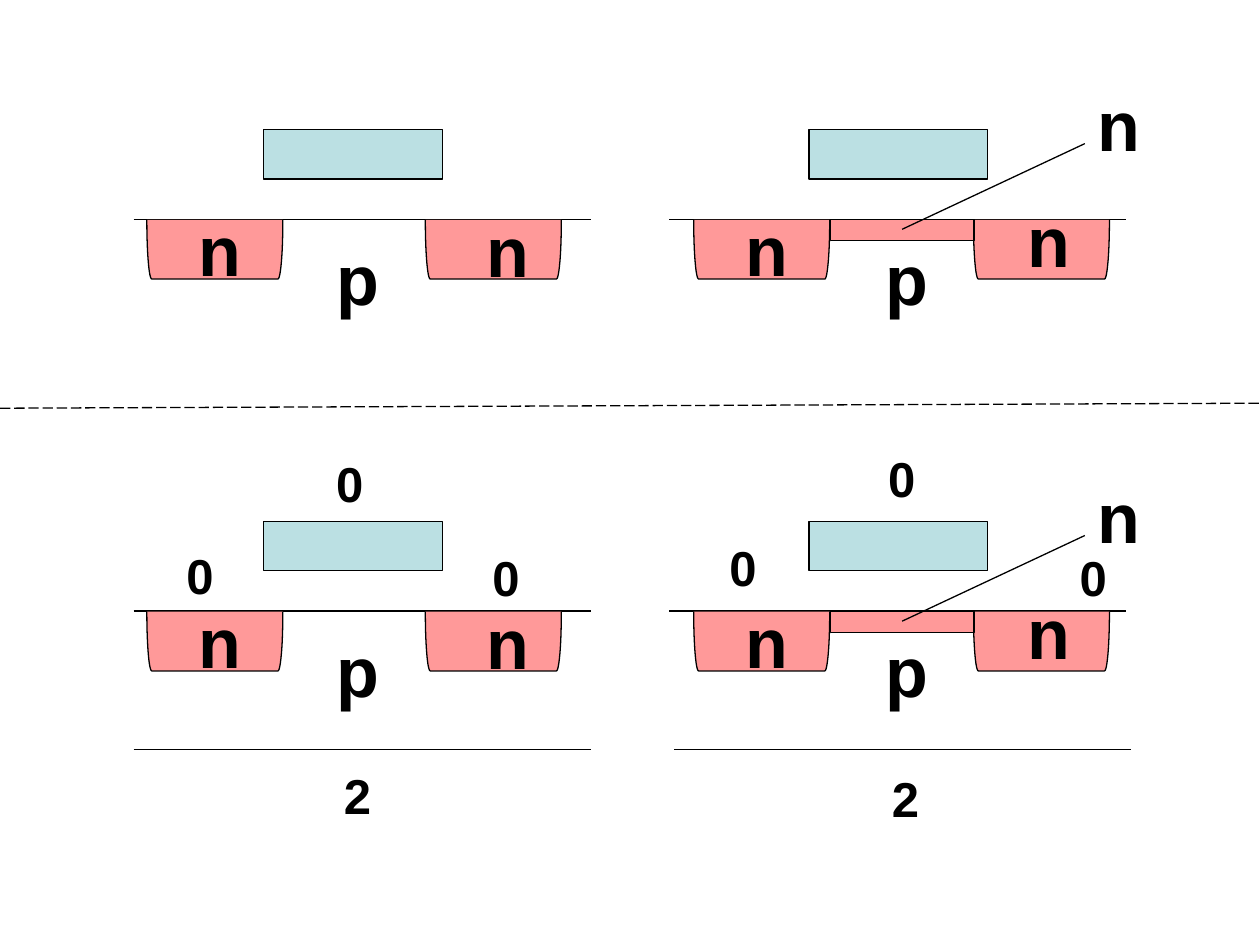
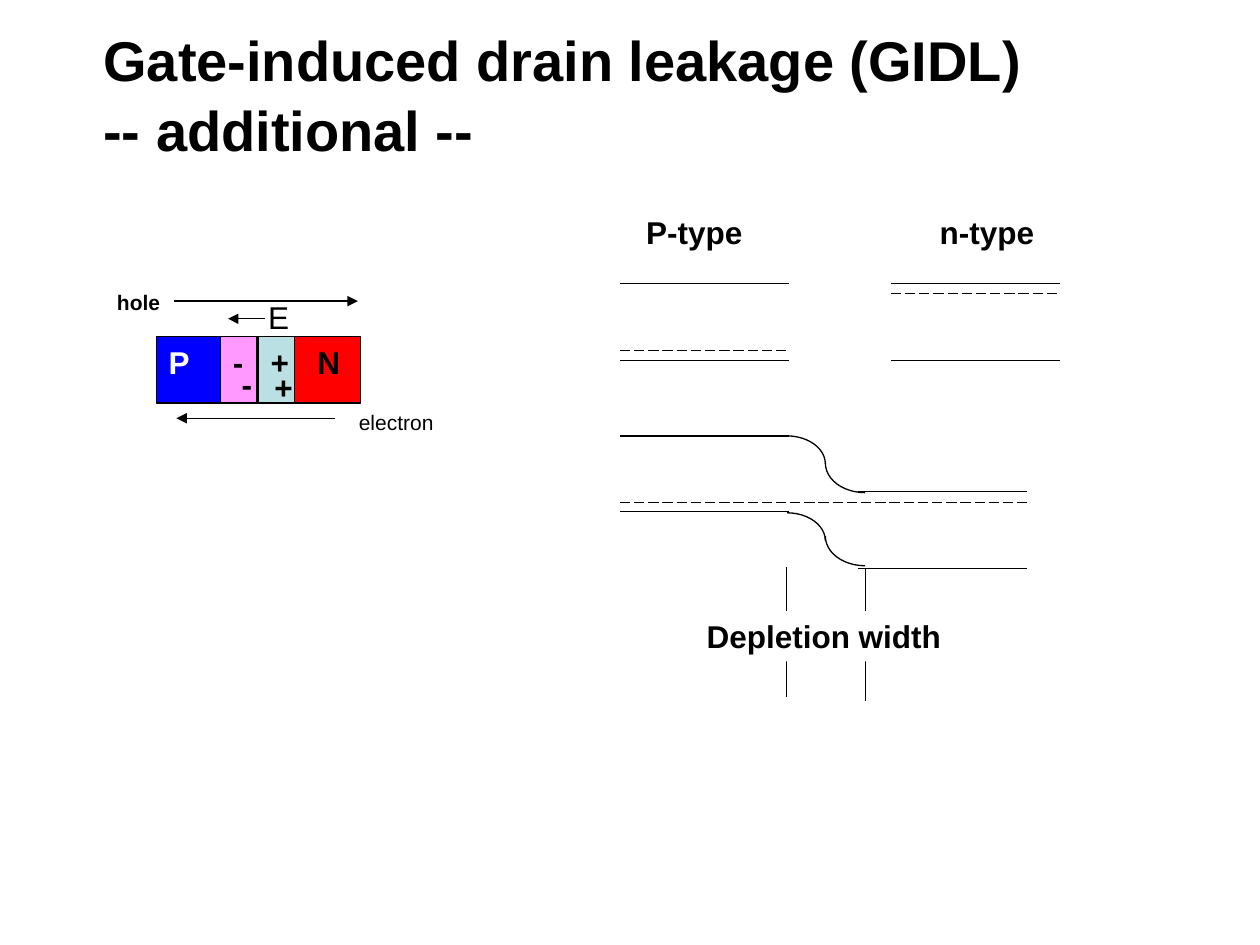
from dataclasses import dataclass
from lxml import etree
from pptx import Presentation
from pptx.dml.color import RGBColor
from pptx.enum.dml import MSO_LINE
from pptx.enum.shapes import MSO_CONNECTOR, MSO_SHAPE
from pptx.enum.text import MSO_ANCHOR, MSO_AUTO_SIZE, PP_ALIGN
from pptx.oxml.ns import qn
from pptx.util import Inches, Pt

RECT = MSO_SHAPE.RECTANGLE
WELL = MSO_SHAPE.RIGHT_BRACKET
ARC = MSO_SHAPE.ARC
LINE = MSO_CONNECTOR.STRAIGHT
DASH = MSO_LINE.LONG_DASH
LEFT = PP_ALIGN.LEFT
TOP = MSO_ANCHOR.TOP
GROW = MSO_AUTO_SIZE.SHAPE_TO_FIT_TEXT
FIXED = MSO_AUTO_SIZE.NONE


@dataclass
class Theme:
    font: str = "Arial"
    ink: str = "000000"
    paper: str = "FFFFFF"
    gate: str = "BBE0E3"
    doped: str = "FF9999"
    hole: str = "0000FF"
    donor: str = "FF0000"
    ion: str = "FF99FF"
    huge: int = 40
    title: int = 32
    large: int = 28
    mid: int = 18
    small: int = 12
    rule: float = 0.75


T = Theme()
deck = Presentation()
deck.slide_width = Inches(10)
deck.slide_height = Inches(7.5)
CELL = deck.slide_width / 100


def draw(shapes, kind, x, y, w, h, fill=None, edge=True, text=None,
         size=T.mid, ink=T.ink, bold=True, wrap=False):
    box = [round(v * CELL) for v in (x, y, w, h)]
    if kind is None:
        shape = shapes.add_textbox(*box)
    else:
        shape = shapes.add_shape(kind, *box)
        shape.shadow.inherit = False
        if fill:
            shape.fill.solid()
            shape.fill.fore_color.rgb = RGBColor.from_string(fill)
        else:
            shape.fill.background()
        if edge:
            shape.line.color.rgb = RGBColor.from_string(T.ink)
            shape.line.width = Pt(T.rule)
        else:
            shape.line.fill.background()
    if text:
        frame = shape.text_frame
        frame.word_wrap = wrap
        frame.auto_size = FIXED if wrap else GROW
        frame.vertical_anchor = TOP
        para = frame.paragraphs[0]
        para.alignment = LEFT
        run = para.add_run()
        run.text = text
        run.font.name = T.font
        run.font.size = Pt(size)
        run.font.bold = bold
        run.font.color.rgb = RGBColor.from_string(ink)
    return shape


def wire(shapes, x1, y1, x2, y2, dash=False, arrow=False):
    ends = [round(v * CELL) for v in (x1, y1, x2, y2)]
    link = shapes.add_connector(LINE, *ends)
    link.line.color.rgb = RGBColor.from_string(T.ink)
    link.line.width = Pt(T.rule)
    if dash:
        link.line.dash_style = DASH
    if arrow:
        etree.SubElement(link.line._get_or_add_ln(), qn("a:tailEnd"), type="triangle")
    etree.SubElement(link._element.spPr, qn("a:effectLst"))


art = deck.slides.add_slide(deck.slide_layouts[6]).shapes

HALVES = [
    (20.9, 10.6, (14.7, 36.8), [("n", 37.6, 16), ("n", 14.8, 15.9), ("p", 25.7, 18.2)]),
    (64.2, 53.1, (58.1, 80.3), [("n", 58.2, 15.9), ("n", 80.6, 15.2), ("p", 69.3, 18.2)]),
]
for drop in (0, 31.1):
    for gate, edge, wells, signs in HALVES:
        draw(art, RECT, gate, 10.3 + drop, 14.2, 3.9, T.gate)
        wire(art, edge, 17.4 + drop, edge + 36.3, 17.4 + drop)
        for x in wells:
            draw(art, WELL, x, 14.4 + drop, 4.7, 10.8, T.doped).rotation = 90
        for sign, x, y in signs:
            draw(art, None, x, y + drop, 5.4, 7.7, text=sign, size=T.huge)
    draw(art, RECT, 65.9, 17.4 + drop, 11.4, 1.7, T.doped)
    draw(art, None, 86.1, 6 + drop, 5.4, 7.7, text="n", size=T.huge)
    wire(art, 86.1, 11.4 + drop, 71.6, 18.2 + drop)

VOLTS = [("0", 13.8, 42.8), ("0", 38.1, 43), ("0", 25.7, 35.5), ("2", 26.3, 60.3),
         ("0", 56.9, 42.2), ("0", 69.5, 35.1), ("0", 84.7, 43), ("2", 69.8, 60.5)]
for volt, x, y in VOLTS:
    draw(art, None, x, y, 4.2, 5.7, text=volt, size=T.large)
wire(art, 0, 32.4, 100, 32, dash=True)
for x in (10.6, 53.5):
    wire(art, x, 59.5, x + 36.3, 59.5)

art = deck.slides.add_slide(deck.slide_layouts[5]).shapes
head = art.title
head.left, head.top, head.width, head.height = [
    round(v * CELL) for v in (7.2, 1.3, 76.9, 11.8)]
frame = head.text_frame
frame.word_wrap = True
frame.auto_size = FIXED
frame.vertical_anchor = TOP
for i, words in enumerate(["Gate-induced drain leakage (GIDL)", "-- additional --"]):
    para = frame.add_paragraph() if i else frame.paragraphs[0]
    para.alignment = LEFT
    para.line_spacing = 1.04
    run = para.add_run()
    run.text = words
    run.font.name = T.font
    run.font.size = Pt(T.title)
    run.font.bold = True
    run.font.color.rgb = RGBColor.from_string(T.ink)

diode = art.add_group_shape().shapes
ZONES = [(12.4, 8.1, T.hole, "P", T.paper), (20.5, 8.1, T.donor, None, T.ink),
         (20.5, 2.9, T.gate, "+", T.ink), (17.5, 2.9, T.ion, "-", T.ink)]
for x, w, fill, sign, ink in ZONES:
    draw(diode, RECT, x, 26.7, w, 5.3, fill, text=sign, ink=ink, wrap=True)
for x1, x2, y in [(21, 18.1, 25.3), (26.6, 14, 33.2), (13.8, 28.4, 23.9)]:
    wire(diode, x1, y, x2, y, arrow=True)
MARKS = [("E", 20.3, 23.2, 3.7, 4, T.mid, False),
         ("electron", 27.5, 32, 8, 3, T.small, False),
         ("hole", 8.3, 22.5, 5.5, 3, T.small, True),
         ("-", 18.2, 28.5, 2.9, 4, T.mid, True),
         ("+", 20.8, 28.7, 3.5, 4, T.mid, True),
         ("N", 24.2, 26.7, 3.8, 4, T.mid, True)]
for words, x, y, w, h, size, bold in MARKS:
    draw(diode, None, x, y, w, h, text=words, size=size, bold=bold)

BANDS = [(49.2, 22.5), (49.2, 28.6), (70.7, 22.5), (70.7, 28.6),
         (49.2, 34.6), (49.2, 40.6), (68.1, 39), (68.1, 45.1)]
for x, y in BANDS:
    wire(art, x, y, x + 13.4, y)
for x1, x2, y in [(49.2, 62.6, 27.8), (70.7, 84.1, 23.3), (49.2, 81.5, 39.9)]:
    wire(art, x1, y, x2, y, dash=True)
for high, low in [(34.6, 34.4), (40.7, 40.2)]:
    draw(art, ARC, 59.4, high, 6.1, 4.4)
    draw(art, ARC, 65.5, low, 6.3, 4.7).rotation = 180
for x, y1, y2 in [(62.4, 45, 55.3), (68.7, 45.2, 55.6)]:
    wire(art, x, y1, x, y2)
for words, x, y, w in [("Depletion width", 55.1, 48.5, 20.8),
                       ("P-type", 50.3, 16.4, 9.7), ("n-type", 73.6, 16.4, 9.7)]:
    draw(art, RECT, x, y, w, 4, T.paper, False, words)

deck.save("out.pptx")
